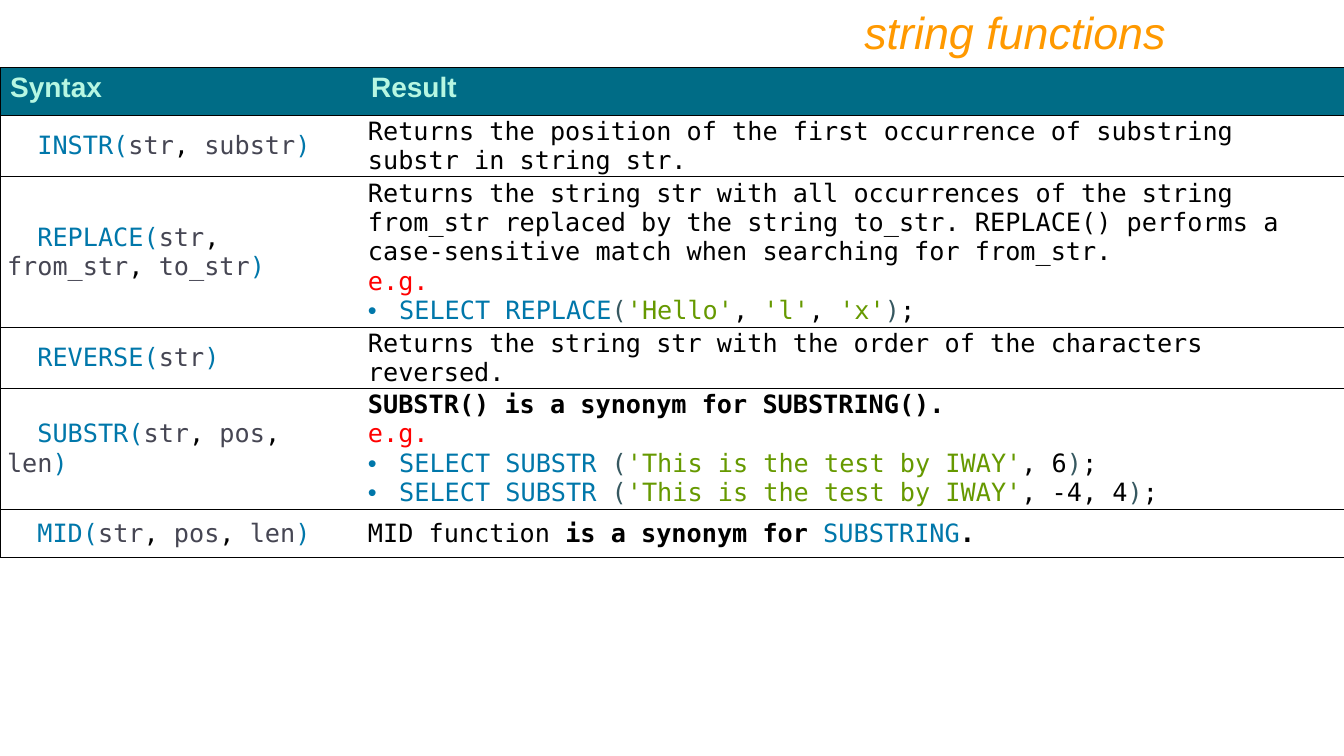
import lxml.etree
import pptx
import pptx.dml.color
import pptx.enum.text
import pptx.oxml.ns
import pptx.util

Inches = pptx.util.Inches
Pt = pptx.util.Pt
RGBColor = pptx.dml.color.RGBColor
qn = pptx.oxml.ns.qn

ORANGE = RGBColor(0xFF, 0x99, 0x00)
TEAL = RGBColor(0x00, 0x6C, 0x86)
MINT = RGBColor(0xB7, 0xF7, 0xE2)
BLACK = RGBColor(0x00, 0x00, 0x00)
RED = RGBColor(0xFF, 0x00, 0x00)
KEYWORD = RGBColor(0x00, 0x77, 0xAA)
ARGUMENT = RGBColor(0x46, 0x46, 0x53)
BRACKET = RGBColor(0x36, 0x58, 0x60)
LITERAL = RGBColor(0x66, 0x99, 0x00)

SANS = "Arial"
MONO = "DejaVu Sans Mono"
SLIDE_WIDTH, SLIDE_HEIGHT = 13.33, 7.5
COLUMN_WIDTHS = (3.58, 9.75)
ROW_HEIGHT = 0.48
BULLET_INDENT = 0.31


def signature(name, *arguments):
    """Return the coloured runs of a function signature."""
    runs = [(f"  {name}(", KEYWORD, False)]
    for index, argument in enumerate(arguments):
        if index:
            runs.append((",", BLACK, False))
            argument = " " + argument
        runs.append((argument, ARGUMENT, False))
    return [(False, runs + [(")", KEYWORD, False)])]


def plain(text, colour=BLACK, bold=False):
    """Return a paragraph of one run without a bullet."""
    return False, [(text, colour, bold)]


def query(command, *arguments):
    """Return a bulleted example query, with quoted arguments as literals."""
    runs = [(command, KEYWORD, False), ("(", BRACKET, False)]
    for index, argument in enumerate(arguments):
        if index:
            runs.append((", ", BLACK, False))
        colour = LITERAL if argument.startswith("'") else BLACK
        runs.append((argument, colour, False))
    return True, runs + [(")", BRACKET, False), (";", BLACK, False)]


EXAMPLE = plain("e.g.", RED)
SAMPLE = "'This is the test by IWAY'"
FUNCTIONS = [
    (signature("INSTR", "str", "substr"),
     [plain("Returns the position of the first occurrence of substring substr in string str.")]),
    (signature("REPLACE", "str", "from_str", "to_str"),
     [plain("Returns the string str with all occurrences of the string from_str replaced by "
            "the string to_str. REPLACE() performs a case-sensitive match when searching for "
            "from_str."),
      EXAMPLE,
      query("SELECT REPLACE", "'Hello'", "'l'", "'x'")]),
    (signature("REVERSE", "str"),
     [plain("Returns the string str with the order of the characters reversed.")]),
    (signature("SUBSTR", "str", "pos", "len"),
     [plain("SUBSTR() is a synonym for SUBSTRING().", bold=True),
      EXAMPLE,
      query("SELECT SUBSTR ", SAMPLE, "6"),
      query("SELECT SUBSTR ", SAMPLE, "-4", "4")]),
    (signature("MID", "str", "pos", "len"),
     [(False, [("MID function ", BLACK, False), ("is a synonym for ", BLACK, True),
               ("SUBSTRING", KEYWORD, False), (".", BLACK, True)])]),
]


def format_font(font, name, size, colour, bold=False, italic=False):
    """Set the look of a font."""
    font.name, font.size = name, Pt(size)
    font.bold, font.italic = bold, italic
    font.color.rgb = colour


def add_bullet(paragraph):
    """Give a paragraph a hanging bullet."""
    properties = paragraph._p.get_or_add_pPr()
    properties.set("marL", str(Inches(BULLET_INDENT)))
    properties.set("indent", str(-Inches(BULLET_INDENT)))
    lxml.etree.SubElement(properties, qn("a:buFont")).set("typeface", SANS)
    lxml.etree.SubElement(properties, qn("a:buChar")).set("char", "•")


def set_borders(cell, visible_sides):
    """Draw thin black lines on the visible sides and none on the others."""
    properties = cell._tc.get_or_add_tcPr()
    for side in "LRTB":
        line = lxml.etree.SubElement(properties, qn(f"a:ln{side}"), w=str(Pt(0.75)))
        if side in visible_sides:
            fill = lxml.etree.SubElement(line, qn("a:solidFill"))
            lxml.etree.SubElement(fill, qn("a:srgbClr")).set("val", str(BLACK))
        else:
            lxml.etree.SubElement(line, qn("a:noFill"))


def fill_header_cell(cell, label):
    """Write a column heading."""
    cell.fill.solid()
    cell.fill.fore_color.rgb = TEAL
    cell.text_frame.text = label
    format_font(cell.text_frame.paragraphs[0].runs[0].font, SANS, 20, MINT, bold=True)


def fill_body_cell(cell, paragraphs):
    """Write the coloured paragraphs of a body cell."""
    cell.fill.background()
    cell.vertical_anchor = pptx.enum.text.MSO_ANCHOR.MIDDLE
    cell.margin_left = cell.margin_right = Inches(0.07)
    cell.margin_top = cell.margin_bottom = 0
    for index, (bulleted, runs) in enumerate(paragraphs):
        frame = cell.text_frame
        paragraph = frame.add_paragraph() if index else frame.paragraphs[0]
        if bulleted:
            add_bullet(paragraph)
        for text, colour, bold in runs:
            run = paragraph.add_run()
            run.text = text
            format_font(run.font, MONO, 18, colour, bold)


def add_title(slide, left, top, width, height):
    """Place the right-aligned slide title in the given box."""
    box = slide.shapes.add_textbox(Inches(left), Inches(top), Inches(width), Inches(height))
    frame = box.text_frame
    frame.word_wrap = True
    frame.text = "string functions"
    paragraph = frame.paragraphs[0]
    paragraph.alignment = pptx.enum.text.PP_ALIGN.RIGHT
    format_font(paragraph.runs[0].font, SANS, 32, ORANGE, italic=True)


def add_function_table(slide, left, top, width):
    """Place the table of string functions across the given width."""
    row_count = len(FUNCTIONS) + 1
    frame = slide.shapes.add_table(row_count, len(COLUMN_WIDTHS), Inches(left), Inches(top),
                                   Inches(width), Inches(ROW_HEIGHT * row_count))
    table = frame.table
    table.first_row = table.horz_banding = False
    for column, share in zip(table.columns, COLUMN_WIDTHS):
        column.width = Inches(width * share / sum(COLUMN_WIDTHS))
    for row, contents in enumerate([("Syntax", "Result")] + FUNCTIONS):
        table.rows[row].height = Inches(ROW_HEIGHT)
        for column, content in enumerate(contents):
            cell = table.cell(row, column)
            set_borders(cell, "TB" + "LR"[column])
            if row:
                fill_body_cell(cell, content)
            else:
                fill_header_cell(cell, content)


def main():
    """Build and save the presentation."""
    presentation = pptx.Presentation()
    presentation.slide_width = Inches(SLIDE_WIDTH)
    presentation.slide_height = Inches(SLIDE_HEIGHT)
    slide = presentation.slides.add_slide(presentation.slide_layouts[6])
    add_title(slide, SLIDE_WIDTH / 8, 0, SLIDE_WIDTH * 3 / 4, 0.64)
    add_function_table(slide, 0, 0.67, SLIDE_WIDTH)
    presentation.save("out.pptx")


if __name__ == "__main__":
    main()
